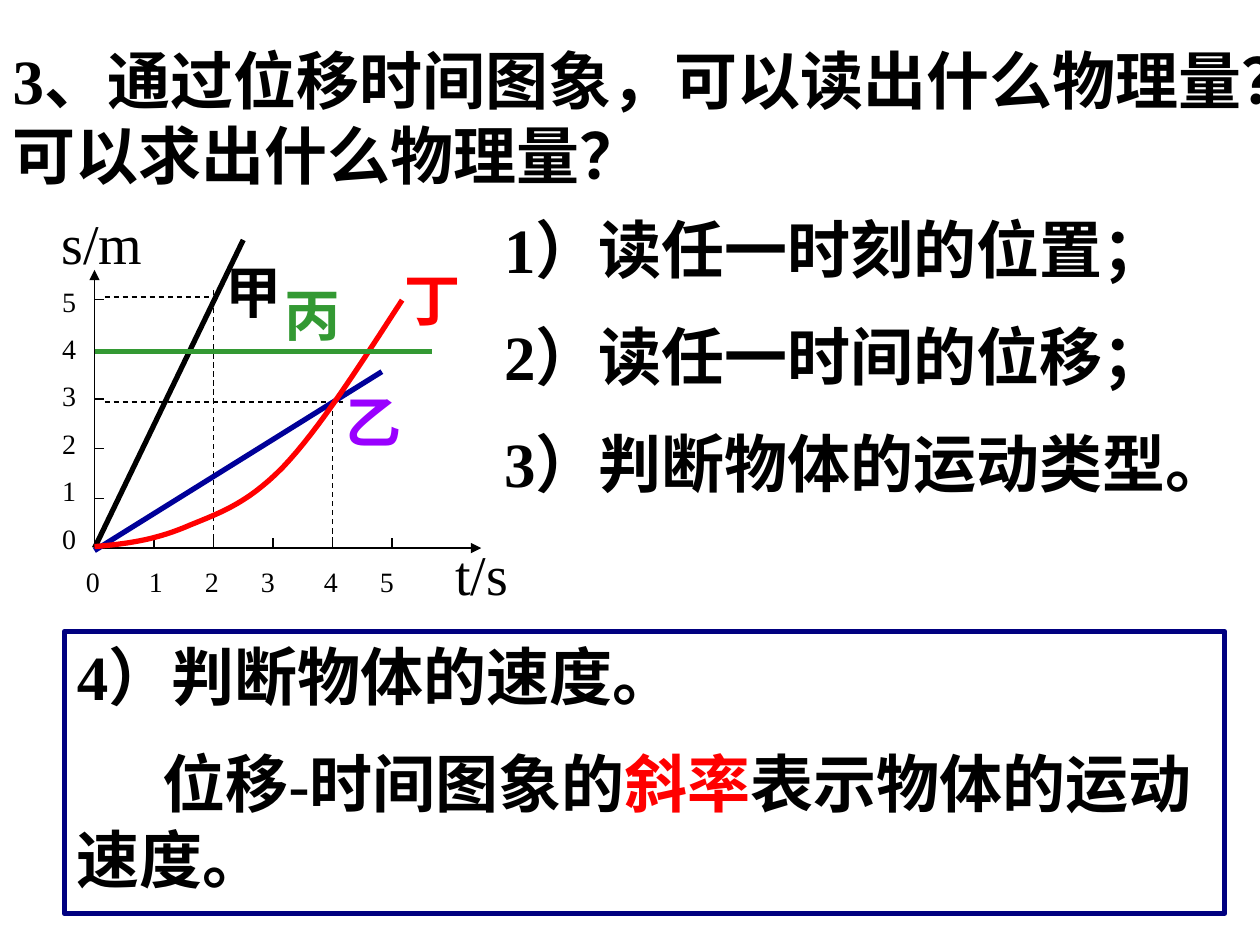
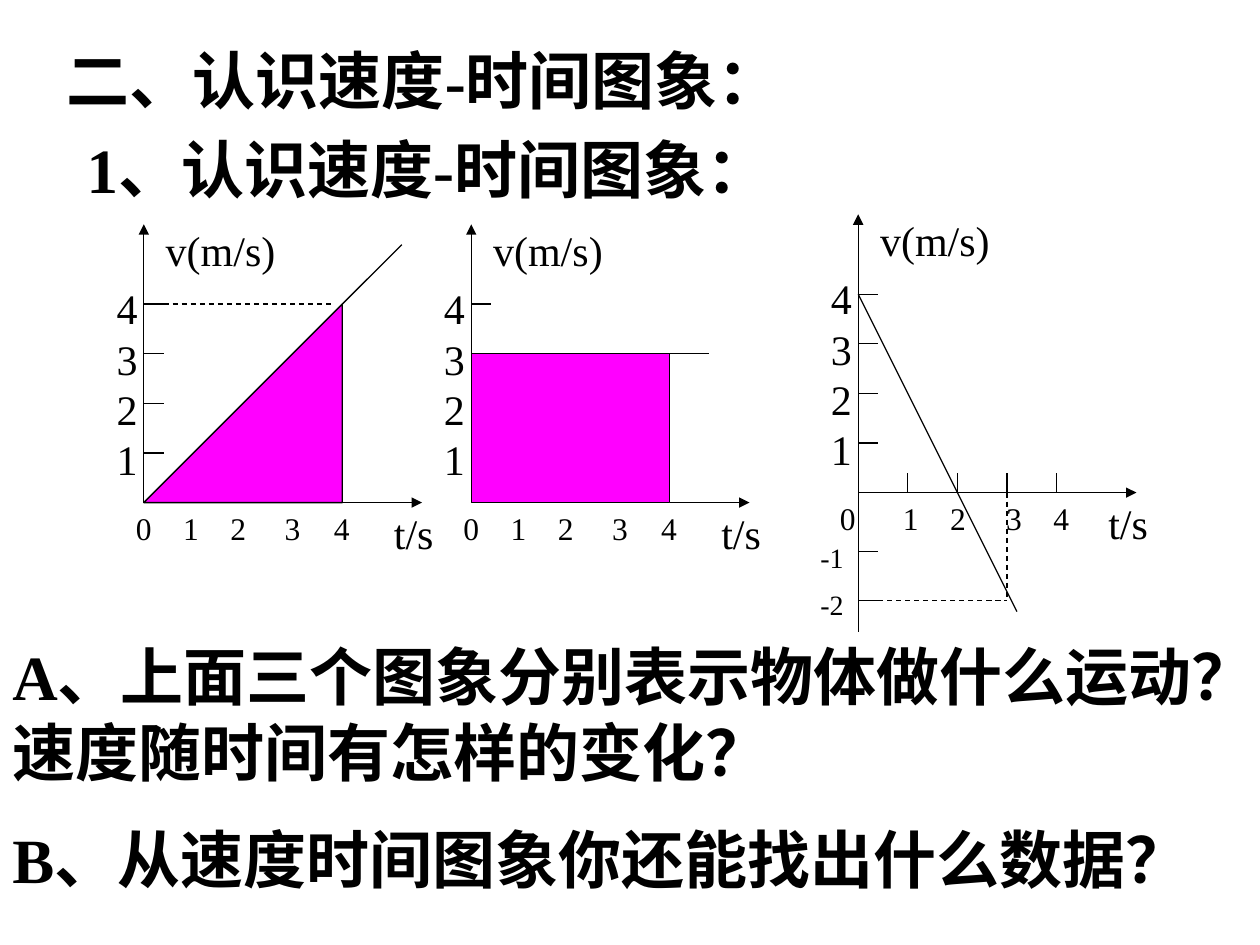
from dataclasses import dataclass
from lxml.etree import SubElement
from pptx import Presentation
from pptx.dml.color import RGBColor
from pptx.enum.dml import MSO_LINE
from pptx.enum.shapes import MSO_CONNECTOR, MSO_SHAPE
from pptx.enum.text import MSO_ANCHOR, MSO_AUTO_SIZE, PP_ALIGN
from pptx.oxml.ns import qn
from pptx.util import Pt


@dataclass(frozen=True)
class Theme:
    """Colours, type sizes and line widths shared by the slides."""
    font: str = "Times New Roman"
    black: str = "000000"
    red: str = "FF0000"
    blue: str = "000099"
    navy: str = "000080"
    green: str = "339933"
    purple: str = "9900FF"
    magenta: str = "FF00FF"
    body: int = 36
    curve_name: int = 32
    axis_name: int = 24
    number: int = 18
    small: int = 16
    thin: float = 0.75
    thick: float = 3


THEME = Theme()


@dataclass(frozen=True)
class Axes:
    """Origin of a graph and the length of one unit each way, in points."""
    slide: object
    left: float
    base: float
    unit_x: float
    unit_y: float

    def at(self, x, y):
        """Turn graph values into a place on the slide."""
        return Pt(self.left + x * self.unit_x), Pt(self.base - y * self.unit_y)

    def line(self, start, end, color=THEME.black, width=THEME.thin, dashed=False, arrow=False):
        """Draw a straight line between two graph points."""
        connector = self.slide.shapes.add_connector(
            MSO_CONNECTOR.STRAIGHT, *self.at(*start), *self.at(*end))
        style_line(connector.line, color, width)
        if dashed:
            connector.line.dash_style = MSO_LINE.DASH
        if arrow:
            SubElement(connector.line._get_or_add_ln(), qn("a:tailEnd"), type="triangle")
        SubElement(connector._element.spPr, qn("a:effectLst"))

    def outline(self, points, color, width, fill=None):
        """Draw an open curve, or a closed area when a fill is given."""
        start, *rest = [self.at(*point) for point in points]
        builder = self.slide.shapes.build_freeform(*start)
        builder.add_line_segments(rest, close=fill is not None)
        drawn = builder.convert_to_shape()
        drawn.shadow.inherit = False
        style_line(drawn.line, color, width)
        if fill:
            drawn.fill.solid()
            drawn.fill.fore_color.rgb = RGBColor.from_string(fill)
        else:
            drawn.fill.background()

    def label(self, text, dx, dy, size, color=THEME.black, bold=False):
        """Centre a short label at an offset in points from the origin."""
        width, height = 90, 40
        box = self.slide.shapes.add_textbox(
            Pt(self.left + dx - width / 2), Pt(self.base + dy - height / 2), Pt(width), Pt(height))
        frame = box.text_frame
        frame.vertical_anchor = MSO_ANCHOR.MIDDLE
        frame.text = text
        frame.paragraphs[0].alignment = PP_ALIGN.CENTER
        style_font(frame.paragraphs[0].font, size, color, bold)

    def frame(self, right, top, x_ticks, y_ticks, tick):
        """Draw both arrowed axes and their ticks."""
        self.line((0, 0), (right / self.unit_x, 0), arrow=True)
        self.line((0, 0), (0, top / self.unit_y), arrow=True)
        for x in x_ticks:
            self.line((x, 0), (x, tick / self.unit_y))
        for y in y_ticks:
            self.line((0, y), (tick / self.unit_x, y))


def style_line(line, color, width):
    """Set colour and width of a line."""
    line.color.rgb = RGBColor.from_string(color)
    line.width = Pt(width)


def style_font(font, size, color=THEME.black, bold=False):
    """Set the shared typeface with a size, colour and weight."""
    font.name, font.size, font.bold = THEME.font, Pt(size), bold
    font.color.rgb = RGBColor.from_string(color)


def write(shape, paragraphs):
    """Fill a shape with bold body paragraphs, each a list of (text, colour) runs."""
    frame = shape.text_frame
    frame.word_wrap = True
    frame.auto_size = MSO_AUTO_SIZE.NONE
    frame.vertical_anchor = MSO_ANCHOR.TOP
    for index, runs in enumerate(paragraphs):
        paragraph = frame.add_paragraph() if index else frame.paragraphs[0]
        paragraph.alignment = PP_ALIGN.LEFT
        paragraph.space_before = Pt(THEME.body / 2 if index else 0)
        style_font(paragraph.font, THEME.body, bold=True)
        for text, color in runs:
            run = paragraph.add_run()
            run.text = text
            run.font.color.rgb = RGBColor.from_string(color)
    return frame


def plain(*lines):
    """Make single-run black paragraphs."""
    return [[(line, THEME.black)] for line in lines]


def place_title(slide, text, box):
    """Move the title placeholder to its box and fill it."""
    title = slide.shapes.title
    title.left, title.top, title.width, title.height = map(Pt, box)
    write(title, plain(text))


def add_body(slide, box, *lines):
    """Add a text box of bold paragraphs."""
    write(slide.shapes.add_textbox(*map(Pt, box)), plain(*lines))


def bezier(start, control_1, control_2, end, steps=16):
    """Sample a cubic curve, leaving out its start."""
    for step in range(1, steps + 1):
        t = step / steps
        weights = ((1 - t) ** 3, 3 * t * (1 - t) ** 2, 3 * t * t * (1 - t), t ** 3)
        yield tuple(sum(w * point[axis] for w, point in zip(weights, (start, control_1, control_2, end)))
                    for axis in (0, 1))


def displacement_graph(slide, left, base):
    """Draw the displacement-time graph with its four motions."""
    axes = Axes(slide, left, base, 34, 28.4)
    axes.frame(221, 159, range(1, 6), range(1, 6), 5.7)
    for number, dx in enumerate((-1, 35, 67, 99, 135, 167)):
        axes.label(str(number), dx, 18.8, THEME.small)
        axes.label(str(number), -14.5, -5.8 - 27.1 * number, THEME.small)
    axes.label("s/m", 4.3, -175, THEME.curve_name)
    axes.label("t/s", 221.4, 14.5, THEME.curve_name)
    for start, end in (((2, 0), (2, 5.2)), ((0.17, 5.05), (2, 5.05)),
                       ((0.17, 2.94), (4.17, 2.94)), ((4, 2.94), (4, 0.15))):
        axes.line(start, end, dashed=True)
    for start, end, color in (((0, 0), (2.5, 6.2), THEME.black),
                              ((0, -0.05), (4.83, 3.55), THEME.blue)):
        axes.line(start, end, color, THEME.thick)
    knots = [(0, 0.03), (0.49, 0.08), (0.97, 0.15), (1.5, 0.41), (2.03, 0.68),
             (2.52, 0.84), (3.16, 1.62), (3.77, 2.38), (4.47, 3.7), (5.17, 4.99)]
    accelerating = knots[:1]
    for first in range(0, 9, 3):
        accelerating += bezier(*knots[first:first + 4])
    axes.outline(accelerating, THEME.red, THEME.thick)
    axes.line((0, 3.95), (5.67, 3.95), THEME.green, THEME.thick)
    for name, dx, dy, color in (("甲", 91, -147, THEME.black), ("乙", 159.3, -72.4, THEME.purple),
                                ("丙", 124.7, -133.6, THEME.green), ("丁", 193, -142, THEME.red)):
        axes.label(name, dx, dy, THEME.curve_name, color, bold=True)


def velocity_axes(slide, left, base, number_offsets):
    """Draw the axes, numbers and names shared by the velocity graphs."""
    axes = Axes(slide, left, base, 28.35, 28.35)
    axes.frame(159, 159, range(1, 5), range(1, 5), 11.5)
    for number, dx in enumerate(number_offsets):
        axes.label(str(number), dx, 14.5, THEME.number)
        if number:
            axes.label(str(number), -9.6, 3.6 - 28.7 * number, THEME.axis_name)
    axes.label("v(m/s)", 43.8, -144.8, THEME.axis_name)
    axes.label("t/s", 154.2, 17.2, THEME.axis_name)
    return axes


def speeding_graph(slide, left, base):
    """Draw the graph of rising velocity with the area under it."""
    axes = velocity_axes(slide, left, base, (0, 27, 54, 85, 113))
    axes.line((0.4, 4), (3.8, 4), dashed=True)
    axes.line((0, 0), (5.2, 5.2))
    axes.outline([(0, 0), (4, 4), (4, 0)], THEME.black, THEME.thin, THEME.magenta)


def steady_graph(slide, left, base):
    """Draw the graph of constant velocity with the area under it."""
    axes = velocity_axes(slide, left, base, (0, 27, 54, 85, 113))
    axes.line((0.2, 3), (4.8, 3))
    axes.outline([(0, 0), (0, 3), (4, 3), (4, 0)], THEME.black, THEME.thin, THEME.magenta)


def slowing_graph(slide, left, base):
    """Draw the graph of falling velocity that turns negative."""
    axes = velocity_axes(slide, left, base, (-6, 30, 57, 89, 116))
    axes.line((0, 0), (0, -2.8))
    for name, y, dy in (("-1", -1.19, 36.8), ("-2", -2.18, 63.6)):
        axes.line((0, y), (0.4, y))
        axes.label(name, -15, dy, THEME.small)
    axes.line((0, 4), (3.2, -2.4))
    axes.line((0.4, -2.18), (3, -2.18), dashed=True)
    axes.line((3, 0), (3, -2.18), dashed=True)


def conclusion(slide, box):
    """Add the framed statement about slope and velocity."""
    panel = slide.shapes.add_shape(MSO_SHAPE.RECTANGLE, *map(Pt, box))
    panel.shadow.inherit = False
    panel.fill.background()
    style_line(panel.line, THEME.navy, THEME.thick)
    frame = write(panel, plain("4）判断物体的速度。") + [[
        ("位移-时间图象的", THEME.black), ("斜率", THEME.red), ("表示物体的运动速度。", THEME.black)]])
    frame.paragraphs[1]._p.get_or_add_pPr().set("indent", str(Pt(49)))


def displacement_slide(slide):
    """Lay out the slide on reading displacement-time graphs."""
    place_title(slide, "3、通过位移时间图象，可以读出什么物理量？可以求出什么物理量？", (0, 20, 720, 93.6))
    displacement_graph(slide, 54, 313.2)
    add_body(slide, (281, 116.6, 430.5, 180),
             "1）读任一时刻的位置；", "2）读任一时间的位移；", "3）判断物体的运动类型。")
    conclusion(slide, (36.8, 360.8, 663, 161.2))


def velocity_slide(slide):
    """Lay out the slide that introduces velocity-time graphs."""
    place_title(slide, "二、认识速度-时间图象：", (31, 20, 453.6, 50.4))
    add_body(slide, (42.5, 71.2, 465, 50.4), "1、认识速度-时间图象：")
    speeding_graph(slide, 82.2, 287.2)
    steady_graph(slide, 269.3, 287.2)
    slowing_graph(slide, 490.4, 281.5)
    add_body(slide, (0, 360.8, 720, 158.4),
             "A、上面三个图象分别表示物体做什么运动？速度随时间有怎样的变化？",
             "B、从速度时间图象你还能找出什么数据？")


def main():
    """Build and save the slides."""
    deck = Presentation()
    deck.slide_width, deck.slide_height = Pt(720), Pt(540)
    for lay_out in (displacement_slide, velocity_slide):
        lay_out(deck.slides.add_slide(deck.slide_layouts[5]))
    deck.save("out.pptx")


if __name__ == "__main__":
    main()
